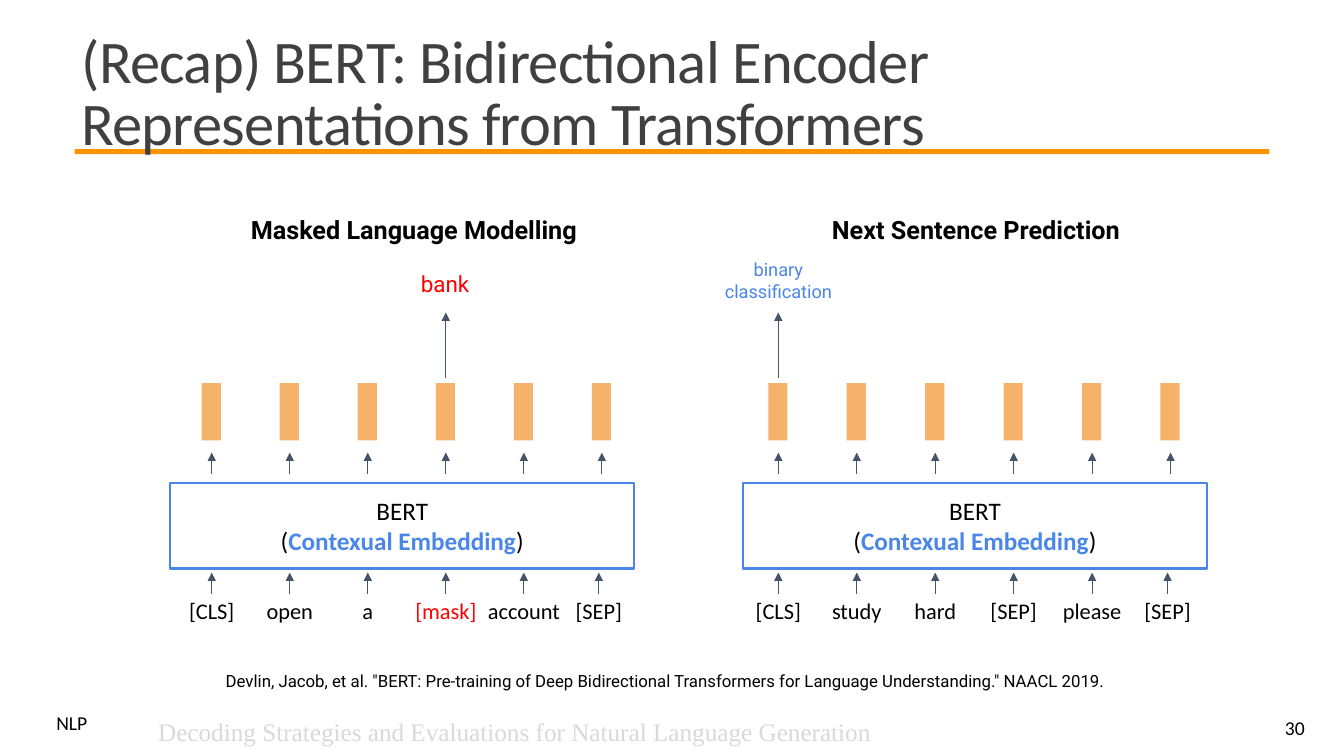
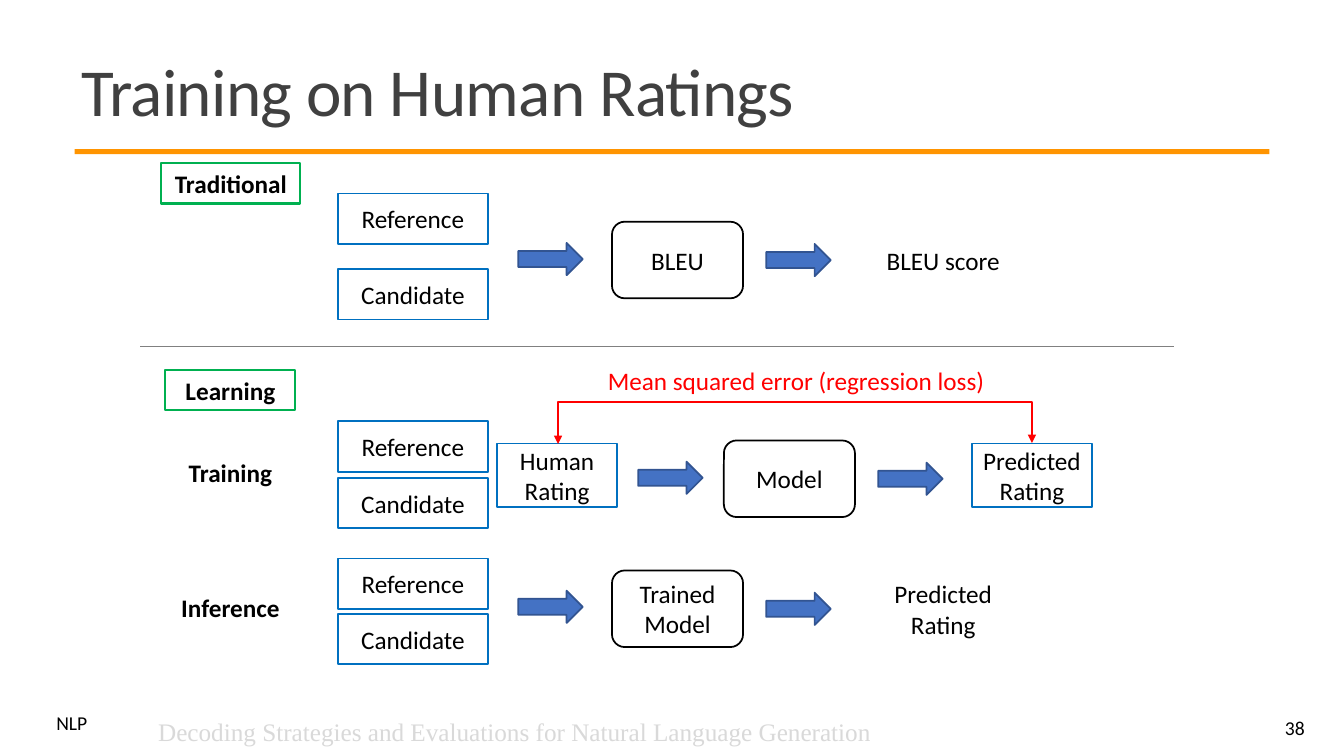
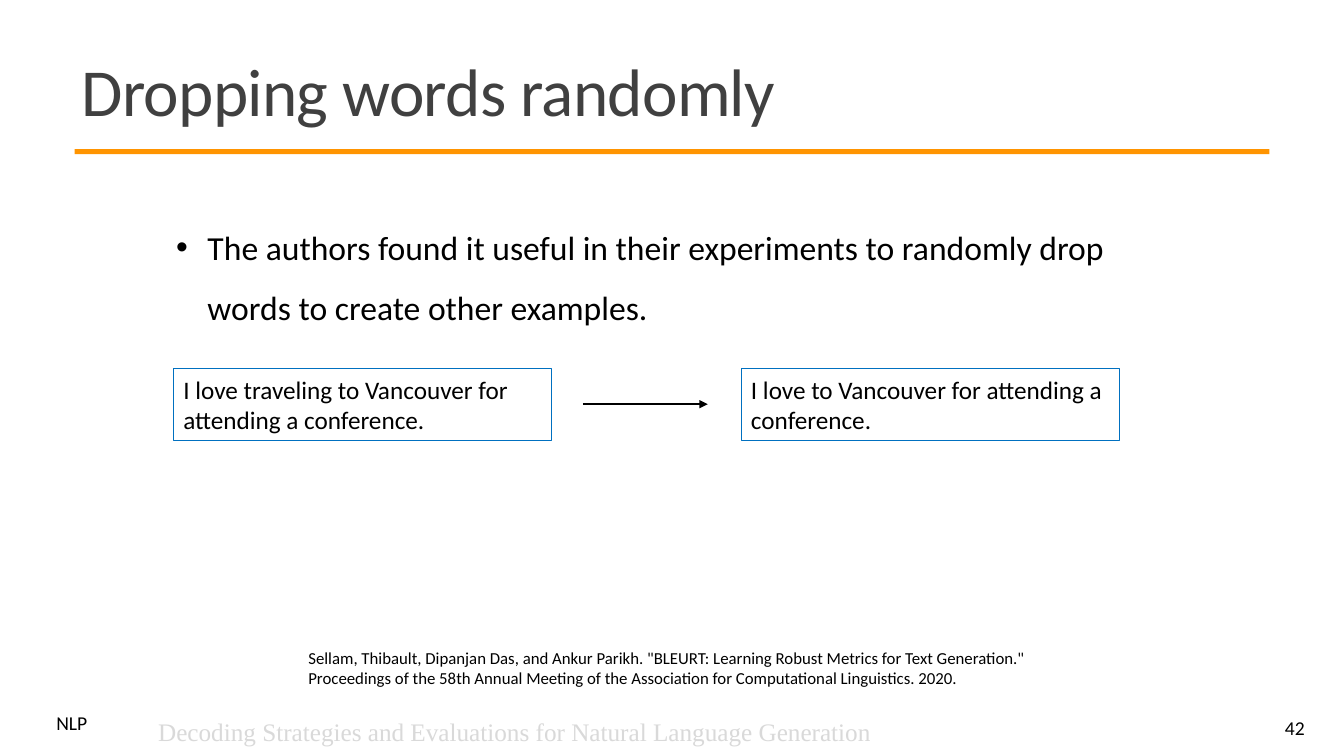
from dataclasses import dataclass, replace
from typing import Any, NamedTuple, Optional

from lxml import etree
from pptx import Presentation
from pptx import util as u
from pptx.dml import color as dml
from pptx.enum import shapes, text
from pptx.oxml import ns

Inches, Pt = u.Inches, u.Pt
LEFT, CENTER, RIGHT = text.PP_ALIGN.LEFT, text.PP_ALIGN.CENTER, text.PP_ALIGN.RIGHT
TOP, MIDDLE = text.MSO_ANCHOR.TOP, text.MSO_ANCHOR.MIDDLE
KIND = shapes.MSO_SHAPE


@dataclass(frozen=True)
class Theme:
    sans: str = "Calibri"
    diagram: str = "Roboto"
    serif: str = "Times New Roman"
    black: str = "000000"
    title: str = "404040"
    rule: str = "FF9400"
    faint: str = "D9D9D9"
    bar: str = "F6B26B"
    slate: str = "44546A"
    sky: str = "4A86E8"
    red: str = "FF0000"
    blue: str = "0070C0"
    green: str = "00B050"
    arrow: str = "4472C4"
    arrow_edge: str = "325491"
    gray: str = "808080"
    title_size: float = 48
    long_title_size: float = 43.2
    bullet_size: float = 24
    body_size: float = 18
    token_size: float = 16
    footer_size: float = 14
    small_size: float = 13
    cite_size: float = 12


THEME = Theme()


class Area(NamedTuple):
    left: float
    top: float
    width: float
    height: float


class Span(NamedTuple):
    words: str
    color: Optional[str] = None
    bold: Optional[bool] = None


class Edge(NamedTuple):
    color: str
    width: float


@dataclass(frozen=True)
class Style:
    size: float = THEME.body_size
    color: str = THEME.black
    font: str = THEME.sans
    bold: bool = False
    align: Any = LEFT
    anchor: Any = TOP
    inset_y: float = 0.05
    spacing: float = 1.0
    tracking: int = 0
    bullet: str = ""


BODY = Style()
CENTERED = Style(align=CENTER, anchor=MIDDLE)
HEADING = Style(bold=True, align=CENTER)
TITLE = Style(THEME.title_size, THEME.title, anchor=MIDDLE, spacing=0.85, tracking=-50)
NUMBER = Style(THEME.footer_size, align=RIGHT, anchor=MIDDLE)
COURSE = Style(THEME.footer_size, spacing=0.8)
FOOTER = Style(THEME.body_size, THEME.faint, THEME.serif)
TOKEN = Style(THEME.token_size, align=CENTER)
DIAGRAM = Style(font=THEME.diagram, align=CENTER, inset_y=0.1)
BULLET = Style(THEME.bullet_size, spacing=1.5, bullet="•")
CITATION = Style(THEME.cite_size)

BLUE_EDGE = Edge(THEME.blue, 1.25)
THIN_BLUE_EDGE = Edge(THEME.blue, 0.75)
GREEN_EDGE = Edge(THEME.green, 1.5)
BLACK_EDGE = Edge(THEME.black, 1.25)
SKY_EDGE = Edge(THEME.sky, 1.5)
FLOW_EDGE = Edge(THEME.arrow_edge, 1.25)
SLATE_EDGE = Edge(THEME.slate, 0.75)


@dataclass(frozen=True)
class Panel:
    heading: str
    heading_area: Area
    first: float
    last: float
    model_left: float
    tokens: tuple[str, ...]
    output: str
    output_area: Area
    output_style: Style
    output_column: int
    masked: Optional[int] = None


@dataclass(frozen=True)
class Flow:
    pair_tops: tuple[float, float]
    model: str
    model_at: tuple[float, float]
    arrows_at: tuple[tuple[float, float], tuple[float, float]]


PANELS = (
    Panel("Masked Language Modelling", Area(2.38, 2.03, 3.45, 0.5), 2.1, 5.97, 1.69,
          ("[CLS]", "open", "a", "[mask]", "account", "[SEP]"),
          "bank", Area(4, 2.58, 0.83, 0.47),
          replace(DIAGRAM, size=THEME.token_size, color=THEME.red), 3, 3),
    Panel("Next Sentence Prediction", Area(8.05, 2.03, 3.26, 0.5), 7.72, 11.61, 7.37,
          ("[CLS]", "study", "hard", "[SEP]", "please", "[SEP]"),
          "binary classification", Area(7.07, 2.46, 1.3, 0.64),
          replace(DIAGRAM, size=THEME.small_size, color=THEME.sky), 0),
)

FLOWS = (
    Flow((1.92, 2.67), "BLEU", (6.07, 2.2), ((5.14, 2.41), (7.6, 2.42))),
    Flow((4.18, 4.74), "Model", (7.18, 4.37), ((6.33, 4.58), (8.71, 4.59))),
    Flow((5.54, 6.09), "Trained Model", (6.07, 5.66), ((5.14, 5.86), (7.6, 5.88))),
)


def rgb(value: str) -> dml.RGBColor:
    return dml.RGBColor.from_string(value)


def apply(target: Any, values: dict[str, Any]) -> None:
    for name, value in values.items():
        setattr(target, name, value)


def to_inches(area: Area) -> list[int]:
    return [Inches(value) for value in area]


def add_bullet(para: Any, mark: str) -> None:
    props = para._p.get_or_add_pPr()
    props.set("marL", str(Inches(0.31)))
    props.set("indent", str(-Inches(0.31)))
    etree.SubElement(props, ns.qn("a:buFont")).set("typeface", "Arial")
    etree.SubElement(props, ns.qn("a:buChar")).set("char", mark)


def write(box: Any, paragraphs: list[list[Span]], style: Style) -> None:
    frame = box.text_frame
    apply(frame, {
        "word_wrap": True, "vertical_anchor": style.anchor,
        "margin_left": Inches(0.1), "margin_right": Inches(0.1),
        "margin_top": Inches(style.inset_y), "margin_bottom": Inches(style.inset_y),
    })
    for index, spans in enumerate(paragraphs):
        para = frame.add_paragraph() if index else frame.paragraphs[0]
        if style.bullet:
            add_bullet(para, style.bullet)
        apply(para, {"alignment": style.align, "line_spacing": style.spacing})
        for part in spans:
            span = para.add_run()
            span.text = part.words
            bold = style.bold if part.bold is None else part.bold
            apply(span.font, {"name": style.font, "size": Pt(style.size), "bold": bold})
            span.font.color.rgb = rgb(part.color or style.color)
            if style.tracking:
                span.font._element.set("spc", str(style.tracking))


def add_text(page: Any, area: Area, words: str, style: Style = BODY) -> None:
    box = page.shapes.add_textbox(*to_inches(area))
    write(box, [[Span(words)]], style)


def add_box(page: Any, area: Area, words: str = "", edge: Optional[Edge] = None,
            fill: Optional[str] = None, style: Style = CENTERED, kind: Any = KIND.RECTANGLE) -> Any:
    box = page.shapes.add_shape(kind, *to_inches(area))
    box.shadow.inherit = False
    if fill:
        box.fill.solid()
        box.fill.fore_color.rgb = rgb(fill)
    else:
        box.fill.background()
    if edge:
        box.line.color.rgb = rgb(edge.color)
        box.line.width = Pt(edge.width)
    else:
        box.line.fill.background()
    if words:
        write(box, [[Span(words)]], style)
    return box


def finish_line(line: Any, edge: Edge, ends: tuple[str, ...]) -> None:
    line.line.color.rgb = rgb(edge.color)
    line.line.width = Pt(edge.width)
    props = line._element.spPr
    outline = props.find(ns.qn("a:ln"))
    for end in ends:
        etree.SubElement(outline, ns.qn(f"a:{end}")).set("type", "triangle")
    etree.SubElement(props, ns.qn("a:effectLst"))


def add_line(page: Any, start: tuple[float, float], stop: tuple[float, float],
             edge: Edge, ends: tuple[str, ...] = ("tailEnd",)) -> None:
    points = [Inches(value) for value in (*start, *stop)]
    line = page.shapes.add_connector(shapes.MSO_CONNECTOR.STRAIGHT, *points)
    finish_line(line, edge, ends)


def add_loss_link(page: Any, human: Any, predicted: Any) -> None:
    line = page.shapes.add_connector(shapes.MSO_CONNECTOR.ELBOW, 0, 0, 0, 0)
    line.begin_connect(human, 0)
    line.end_connect(predicted, 0)
    thickness, rise = 0.01, 0.42
    apply(line, {"left": Inches(7.88), "top": Inches(2.05),
                 "width": Inches(thickness), "height": Inches(4.7)})
    props = line._element.spPr
    apply_xml = {"rot": "5400000", "flipH": "1", "flipV": "1"}
    for name, value in apply_xml.items():
        props.find(ns.qn("a:xfrm")).set(name, value)
    geometry = props.find(ns.qn("a:prstGeom"))
    guides = geometry.find(ns.qn("a:avLst"))
    if guides is None:
        guides = etree.SubElement(geometry, ns.qn("a:avLst"))
    guide = etree.SubElement(guides, ns.qn("a:gd"))
    guide.set("name", "adj1")
    guide.set("fmla", f"val {round(rise / thickness * 100000)}")
    finish_line(line, Edge(THEME.red, 1.5), ("headEnd", "tailEnd"))


def add_page(deck: Any, title: str, number: int, size: float = THEME.title_size) -> Any:
    page = deck.slides.add_slide(deck.slide_layouts[6])
    add_box(page, Area(0.74, 1.48, 11.85, 0.05), fill=THEME.rule)
    add_text(page, Area(0.46, 7.05, 0.61, 0.29), "NLP", COURSE)
    add_text(page, Area(0.71, 0.39, 11.94, 1.13), title, replace(TITLE, size=size))
    add_text(page, Area(11.61, 7.02, 1.43, 0.4), str(number), NUMBER)
    add_text(page, Area(1.47, 7.06, 7.52, 0.4),
             "Decoding Strategies and Evaluations for Natural Language Generation", FOOTER)
    return page


def add_panel(page: Any, panel: Panel) -> None:
    add_text(page, panel.heading_area, panel.heading, replace(DIAGRAM, bold=True))
    add_text(page, panel.output_area, panel.output, panel.output_style)
    model = add_box(page, Area(panel.model_left, 4.79, 4.6, 0.85), edge=SKY_EDGE)
    write(model, [[Span("BERT")],
                  [Span("("), Span("Contexual Embedding", THEME.sky, True), Span(")")]],
          replace(CENTERED, inset_y=0.1))
    final = len(panel.tokens) - 1
    step = (panel.last - panel.first) / final
    for column, token in enumerate(panel.tokens):
        center = panel.first + column * step
        token_center = center - 0.03 if column == final else center
        add_box(page, Area(center - 0.1, 3.8, 0.19, 0.57), fill=THEME.bar)
        add_line(page, (center, 4.7), (center, 4.49), SLATE_EDGE)
        add_line(page, (token_center, 5.89), (token_center, 5.68), SLATE_EDGE)
        color = THEME.red if column == panel.masked else THEME.black
        add_text(page, Area(token_center - 0.48, 5.87, 0.96, 0.37), token,
                 replace(TOKEN, color=color))
        if column == panel.output_column:
            add_line(page, (center, 3.75), (center, 3.1), SLATE_EDGE)


def add_flow(page: Any, flow: Flow) -> None:
    for words, top in zip(("Reference", "Candidate"), flow.pair_tops):
        add_box(page, Area(3.35, top, 1.49, 0.5), words, BLUE_EDGE)
    add_box(page, Area(*flow.model_at, 1.3, 0.76), flow.model, BLACK_EDGE,
            kind=KIND.ROUNDED_RECTANGLE)
    for corner in flow.arrows_at:
        add_box(page, Area(*corner, 0.64, 0.32), edge=FLOW_EDGE, fill=THEME.arrow,
                kind=KIND.RIGHT_ARROW)


def build_recap(deck: Any) -> None:
    page = add_page(deck, "(Recap) BERT: Bidirectional Encoder Representations from Transformers",
                    30, THEME.long_title_size)
    for panel in PANELS:
        add_panel(page, panel)
    add_text(page, Area(2.14, 6.55, 9.05, 0.4),
             'Devlin, Jacob, et al. "BERT: Pre-training of Deep Bidirectional Transformers '
             'for Language Understanding." NAACL 2019.',
             replace(CITATION, font=THEME.diagram, inset_y=0.1))


def build_ratings(deck: Any) -> None:
    page = add_page(deck, "Training on Human Ratings", 38)
    for flow in FLOWS:
        add_flow(page, flow)
    for words, top in (("BLEU score", 2.33), ("Predicted Rating", 5.79)):
        add_text(page, Area(8.61, top, 1.49, 0.5), words, CENTERED)
    add_box(page, Area(1.6, 1.62, 1.38, 0.4), "Traditional", GREEN_EDGE, style=HEADING)
    add_box(page, Area(1.64, 3.67, 1.29, 0.4), "Learning", GREEN_EDGE, style=HEADING)
    for words, top in (("Training", 4.49), ("Inference", 5.83)):
        add_text(page, Area(1.64, top, 1.29, 0.4), words, HEADING)
    human, predicted = (
        add_box(page, Area(left, 4.4, 1.19, 0.63), words, BLUE_EDGE)
        for words, left in (("Human Rating", 4.93), ("Predicted Rating", 9.64))
    )
    add_loss_link(page, human, predicted)
    add_text(page, Area(5.93, 3.58, 3.99, 0.4), "Mean squared error (regression loss)",
             replace(BODY, color=THEME.red))
    add_line(page, (1.39, 3.44), (11.64, 3.44), Edge(THEME.gray, 1), ())


def build_dropping(deck: Any) -> None:
    page = add_page(deck, "Dropping words randomly", 42)
    add_text(page, Area(1.65, 2, 9.63, 1.25),
             "The authors found it useful in their experiments to randomly drop words "
             "to create other examples.", BULLET)
    examples = (
        ("I love traveling to Vancouver for attending a conference.", 1.72),
        ("I love to Vancouver for attending a conference.", 7.35),
    )
    for words, left in examples:
        add_box(page, Area(left, 3.66, 3.75, 0.71), words, THIN_BLUE_EDGE, style=BODY)
    add_line(page, (5.78, 4.01), (7.02, 4.01), Edge(THEME.black, 1.5))
    add_text(page, Area(2.96, 6.38, 7.41, 0.5),
             'Sellam, Thibault, Dipanjan Das, and Ankur Parikh. "BLEURT: Learning Robust Metrics '
             'for Text Generation." Proceedings of the 58th Annual Meeting of the Association '
             'for Computational Linguistics. 2020.', CITATION)


def main() -> None:
    deck = Presentation()
    apply(deck, {"slide_width": Inches(13.33), "slide_height": Inches(7.5)})
    for build in (build_recap, build_ratings, build_dropping):
        build(deck)
    deck.save("out.pptx")


if __name__ == "__main__":
    main()
